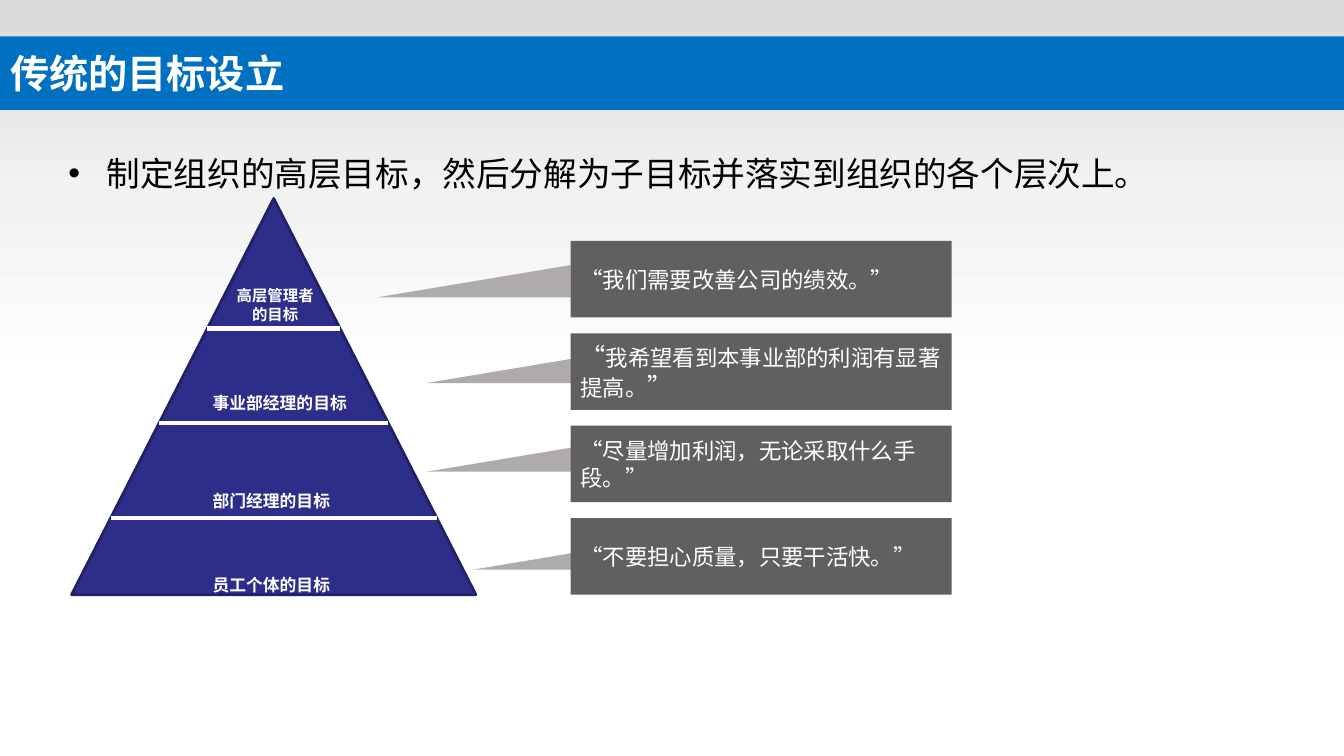
"""Build a slide on traditional top-down goal setting."""
import copy
from dataclasses import dataclass

import lxml.etree
import pptx
import pptx.dml.color
import pptx.enum.dml
import pptx.enum.lang
import pptx.enum.shapes
import pptx.enum.text
import pptx.oxml.ns
import pptx.util

Inches = pptx.util.Inches
SHAPE = pptx.enum.shapes.MSO_SHAPE
ALIGN = pptx.enum.text.PP_ALIGN
ANCHOR = pptx.enum.text.MSO_ANCHOR
AUTO = pptx.enum.text.MSO_AUTO_SIZE
qn = pptx.oxml.ns.qn


@dataclass(frozen=True)
class Theme:
    cjk: str = "Noto Sans CJK SC"
    latin: str = "Arial"
    white: str = "FFFFFF"
    black: str = "000000"
    banner: str = "0070C0"
    pyramid: str = "2D2D8A"
    pyramid_edge: str = "212166"
    quote: str = "606060"
    pointer: str = "AFABAB"
    backdrop: tuple = ((0, "D9D9D9"), (0.5, "F2F2F2"), (1, "FFFFFF"))
    title_size: int = 28
    body_size: int = 24
    mark_size: int = 18
    quote_size: int = 16
    label_size: int = 12
    top_label_size: int = 11


def rgb(color):
    return pptx.dml.color.RGBColor.from_string(color)


class SlideBuilder:
    def __init__(self, prs, theme):
        self.theme = theme
        self.s = prs.slides.add_slide(prs.slide_layouts[5])

    def fill_text(self, sp, lines, color, font, bold=False, align=ALIGN.LEFT):
        tf = sp.text_frame
        for i, pieces in enumerate(lines):
            p = tf.add_paragraph() if i else tf.paragraphs[0]
            p.alignment = align
            for text, size in pieces:
                r = p.add_run()
                r.text = text
                r.font.size = pptx.util.Pt(size)
                r.font.bold = bold
                r.font.name = font
                r.font.color.rgb = rgb(color)
                r.font.language_id = pptx.enum.lang.MSO_LANGUAGE_ID.SIMPLIFIED_CHINESE
                latin = r.font._element.find(qn("a:latin"))
                ea = lxml.etree.Element(qn("a:ea"), typeface=self.theme.cjk)
                latin.addnext(ea)

    def shape(self, kind, box, fill, edge=None):
        sp = self.s.shapes.add_shape(kind, *map(Inches, box))
        sp.shadow.inherit = False
        sp.fill.solid()
        sp.fill.fore_color.rgb = rgb(fill)
        if edge:
            sp.line.color.rgb = rgb(edge)
            sp.line.width = pptx.util.Pt(2)
        else:
            sp.line.fill.background()
        return sp

    def backdrop(self, box):
        sp = self.shape(SHAPE.RECTANGLE, box, self.theme.white)
        sp.fill.gradient()
        stops = sp._element.spPr.find(".//" + qn("a:gsLst"))
        stops.append(copy.deepcopy(stops[-1]))
        for stop, (position, color) in zip(sp.fill.gradient_stops, self.theme.backdrop):
            stop.position = position
            stop.color.rgb = rgb(color)
        sp.fill.gradient_angle = 270
        self.s.shapes._spTree.insert(2, sp._element)

    def title(self, text, box):
        sp = self.s.shapes.title
        sp.left, sp.top, sp.width, sp.height = map(Inches, box)
        sp.fill.solid()
        sp.fill.fore_color.rgb = rgb(self.theme.banner)
        sp.text_frame.auto_size = AUTO.NONE
        sp.text_frame.vertical_anchor = ANCHOR.MIDDLE
        self.fill_text(sp, [[(text, self.theme.title_size)]], self.theme.white,
                       self.theme.cjk, bold=True)

    def bullet(self, text, box):
        sp = self.s.shapes.add_textbox(*map(Inches, box))
        sp.text_frame.word_wrap = True
        pPr = sp.text_frame.paragraphs[0]._p.get_or_add_pPr()
        pPr.set("marL", str(Inches(0.38)))
        pPr.set("indent", str(-Inches(0.38)))
        lxml.etree.SubElement(pPr, qn("a:buFont"), typeface=self.theme.latin)
        lxml.etree.SubElement(pPr, qn("a:buChar"), char="•")
        self.fill_text(sp, [[(text, self.theme.body_size)]], self.theme.black,
                       self.theme.cjk)

    def pointer(self, left, top):
        sp = self.shape(SHAPE.RIGHT_TRIANGLE, (left, top, 1.92, 0.32), self.theme.pointer)
        sp._element.spPr.find(qn("a:xfrm")).set("flipH", "1")

    def divider(self, x1, x2, y):
        c = self.s.shapes.add_connector(pptx.enum.shapes.MSO_CONNECTOR.STRAIGHT,
                                        Inches(x1), Inches(y), Inches(x2), Inches(y))
        c.line.color.rgb = rgb(self.theme.white)
        c.line.width = pptx.util.Pt(3)
        lxml.etree.SubElement(c._element.spPr, qn("a:effectLst"))

    def label(self, lines, box, size, wrap=False, align=ALIGN.LEFT):
        sp = self.s.shapes.add_textbox(*map(Inches, box))
        sp.text_frame.word_wrap = wrap
        sp.text_frame.auto_size = AUTO.SHAPE_TO_FIT_TEXT
        self.fill_text(sp, [[(line, size)] for line in lines], self.theme.white,
                       self.theme.cjk, bold=True, align=align)

    def quote(self, pieces, box):
        sp = self.shape(SHAPE.RECTANGLE, box, self.theme.quote)
        sp.text_frame.word_wrap = True
        sp.text_frame.vertical_anchor = ANCHOR.MIDDLE
        self.fill_text(sp, [pieces], self.theme.white, self.theme.latin)


def main():
    theme = Theme()
    prs = pptx.Presentation()
    prs.slide_width, prs.slide_height = Inches(13.33), Inches(7.5)
    b = SlideBuilder(prs, theme)

    b.backdrop((0, 0, 13.33, 3.83))
    b.title("传统的目标设立", (0, 0.36, 13.33, 0.73))
    b.bullet("制定组织的高层目标，然后分解为子目标并落实到组织的各个层次上。",
             (0.58, 1.47, 12.07, 5.23))

    for left, top in ((3.74, 2.63), (4.23, 3.48), (4.23, 4.36), (4.7, 5.33)):
        b.pointer(left, top)

    left, top, width, height = 0.71, 1.97, 4.01, 3.93
    b.shape(SHAPE.ISOSCELES_TRIANGLE, (left, top, width, height),
            theme.pyramid, theme.pyramid_edge)
    center = left + width / 2
    for i in range(3):
        y = 3.26 + 0.94 * i
        half = width / 2 * (y - top) / height
        b.divider(center - half, center + half, y)

    b.label(["高层管理者", "的目标"], (1.6, 2.79, 2.26, 0.47),
            theme.top_label_size, wrap=True, align=ALIGN.CENTER)
    for text, y, w in (("事业部经理的目标", 3.85, 1.55),
                       ("部门经理的目标", 4.82, 1.38),
                       ("员工个体的目标", 5.65, 1.38)):
        b.label([text], (2.01, y, w, 0.3), theme.label_size)

    quotes = (
        [("“我们需要改善公司的绩效。”", theme.quote_size)],
        [("“", theme.mark_size),
         ("我希望看到本事业部的利润有显著提高。", theme.quote_size),
         ("”", theme.mark_size)],
        [("“尽量增加利润，无论采取什么手段。”", theme.quote_size)],
        [("“不要担心质量，只要干活快。”", theme.quote_size)],
    )
    for i, pieces in enumerate(quotes):
        b.quote(pieces, (5.66, 2.39 + 2.75 / 3 * i, 3.78, 0.76))

    prs.save("out.pptx")


if __name__ == "__main__":
    main()
